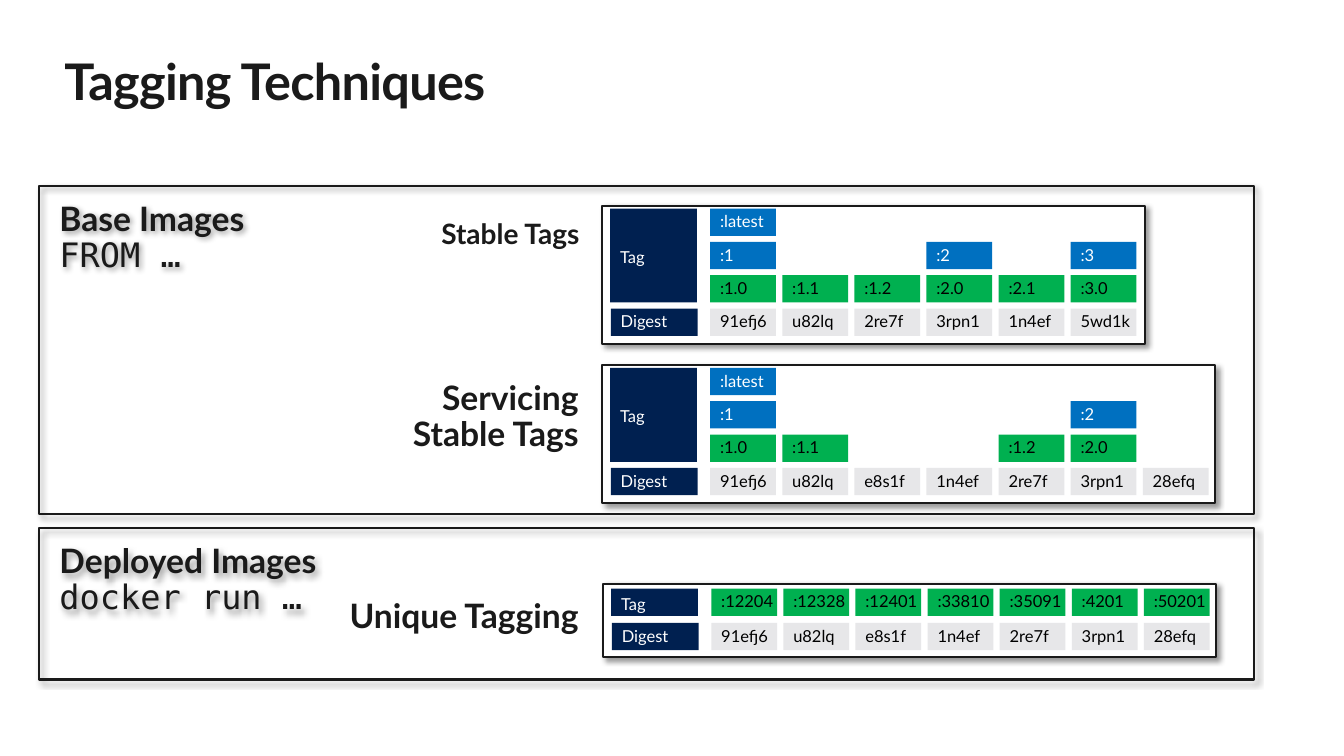
from lxml.etree import SubElement
from pptx import Presentation
from pptx.dml.color import RGBColor
from pptx.enum.shapes import MSO_SHAPE as Shape
from pptx.enum.text import MSO_ANCHOR as Anchor, MSO_AUTO_SIZE as AutoSize, PP_ALIGN as Align
from pptx.oxml.ns import qn
from pptx.util import Pt

INK, WHITE, BLACK = "1A1A1A", "FFFFFF", "000000"
NAVY, BLUE, GREEN, GREY = "002050", "0070C0", "00B050", "E7E7E9"
CELL_INSETS = (7.2, 3.6, 0, 0)
WIDE_INSETS = (14.4, 11.5, 14.4, 11.5)


def color(hex_string):
    return RGBColor.from_string(hex_string)


def write(text_frame, text, size=24, font="Lato", ink=INK, bold=False,
          align=Align.LEFT, line_spacing=0.9, space_after=0, tracking=0):
    """Fill the first paragraph of the frame, or add one after it."""
    paragraph = text_frame.paragraphs[0]
    if paragraph.runs:
        paragraph = text_frame.add_paragraph()
    paragraph.text = text
    paragraph.alignment = align
    paragraph.line_spacing = line_spacing
    paragraph.space_before = Pt(0)
    paragraph.space_after = Pt(space_after)
    for run in paragraph.runs:
        run.font.name = font
        run.font.size = Pt(size)
        run.font.bold = bold
        run.font.color.rgb = color(ink)
        if tracking:
            run.font._element.set("spc", str(int(tracking * 100)))


def prepare(text_frame, insets, anchor=Anchor.TOP):
    text_frame.word_wrap = True
    text_frame.vertical_anchor = anchor
    (text_frame.margin_left, text_frame.margin_top,
     text_frame.margin_right, text_frame.margin_bottom) = map(Pt, insets)


class TaggingSlide:
    cell_width, cell_height = 47, 19.5
    column_pitch = 51.5
    header_width = 62

    def __init__(self, presentation):
        self.slide = presentation.slides.add_slide(presentation.slide_layouts[5])

    def title(self, text, *box):
        shape = self.slide.shapes.title
        shape.left, shape.top, shape.width, shape.height = map(Pt, box)
        prepare(shape.text_frame, (0, 0, 0, 0))
        shape.text_frame.auto_size = AutoSize.SHAPE_TO_FIT_TEXT
        write(shape.text_frame, text, size=36, bold=True, line_spacing=1.0, tracking=-0.5)

    def rectangle(self, *box, fill=None):
        shape = self.slide.shapes.add_shape(Shape.RECTANGLE, *map(Pt, box))
        shape.shadow.inherit = False
        shape.line.fill.background()
        if fill:
            shape.fill.solid()
            shape.fill.fore_color.rgb = color(fill)
        else:
            shape.fill.background()
        return shape

    def frame(self, *box, fill=None):
        """Outlined rectangle with a soft shadow to the lower right."""
        shape = self.rectangle(*box, fill=fill)
        shape.line.color.rgb = color(INK)
        shape.line.width = Pt(1.5)
        effects = shape._element.spPr.find(qn("a:effectLst"))
        shadow = SubElement(effects, qn("a:outerShdw"), blurRad=str(Pt(4)), dist=str(Pt(3)),
                            dir="2700000", algn="tl", rotWithShape="0")
        tone = SubElement(shadow, qn("a:srgbClr"), val=BLACK)
        SubElement(tone, qn("a:alpha"), val="40000")
        return shape

    def cell(self, text, *box, fill, ink=BLACK, anchor=Anchor.TOP):
        shape = self.rectangle(*box, fill=fill)
        prepare(shape.text_frame, CELL_INSETS, anchor)
        write(shape.text_frame, text, size=11.8, ink=ink)

    def label(self, text, *box, size=24):
        shape = self.slide.shapes.add_textbox(*map(Pt, box))
        prepare(shape.text_frame, WIDE_INSETS)
        shape.text_frame.auto_size = AutoSize.SHAPE_TO_FIT_TEXT
        write(shape.text_frame, text, size=size, bold=True, align=Align.RIGHT, space_after=6)

    def section(self, heading, command, *box):
        shape = self.frame(*box)
        prepare(shape.text_frame, WIDE_INSETS, Anchor.TOP)
        write(shape.text_frame, heading, bold=True)
        write(shape.text_frame, command, font="DejaVu Sans Mono")

    def tag_panel(self, rows, *box, padding=2.1, row_pitch=23.8):
        """Tag rows above one digest row; "-" leaves a place empty."""
        left, top = box[:2]
        self.frame(*box, fill=WHITE)
        first_row = top + padding
        digest_row = len(rows) - 1
        digest_top = first_row + digest_row * row_pitch
        tag_height = (digest_row - 1) * row_pitch + self.cell_height
        self.cell("Tag", left + 6, first_row, self.header_width, tag_height,
                  fill=NAVY, ink=WHITE, anchor=Anchor.MIDDLE)
        self.cell("Digest", left + 6.5, digest_top, self.header_width, self.cell_height,
                  fill=NAVY, ink=WHITE)
        for row, line in enumerate(rows):
            if row == digest_row:
                fill, ink = GREY, BLACK
            elif row == digest_row - 1:
                fill, ink = GREEN, BLACK
            else:
                fill, ink = BLUE, WHITE
            for column, text in enumerate(line.split()):
                if text != "-":
                    self.cell(text, left + 77.5 + column * self.column_pitch,
                              first_row + row * row_pitch,
                              self.cell_width, self.cell_height, fill=fill, ink=ink)


def main():
    presentation = Presentation()
    presentation.slide_width, presentation.slide_height = Pt(960), Pt(540)
    slide = TaggingSlide(presentation)
    slide.title("Tagging Techniques", 46, 36, 867.6, 44)

    slide.tag_panel([":latest",
                     ":1 - - :2 - :3",
                     ":1.0 :1.1 :1.2 :2.0 :2.1 :3.0",
                     "91efj6 u82lq 2re7f 3rpn1 1n4ef 5wd1k"],
                    429.8, 146.9, 388.1, 98.6)
    slide.tag_panel([":latest",
                     ":1 - - - - :2",
                     ":1.0 :1.1 - - :1.2 :2.0",
                     "91efj6 u82lq e8s1f 1n4ef 2re7f 3rpn1 28efq"],
                    429.8, 260.7, 437.8, 98.6)
    slide.tag_panel([":12204 :12328 :12401 :33810 :35091 :4201 :50201",
                     "91efj6 u82lq e8s1f 1n4ef 2re7f 3rpn1 28efq"],
                    430.6, 416.9, 437.8, 52.6, padding=3.6, row_pitch=24.4)

    slide.label("Stable Tags", 162.7, 146.9, 265.7, 45.4, size=20)
    slide.label("Servicing\nStable Tags", 162, 260.7, 265.7, 75.6)
    slide.label("Unique Tagging", 111.6, 416.9, 316.1, 49.7)

    slide.section("Base Images", "FROM …", 28.1, 132.8, 867.6, 234.7)
    slide.section("Deployed Images", "docker run …", 28.1, 377.4, 867.6, 108)
    presentation.save("out.pptx")


if __name__ == "__main__":
    main()
